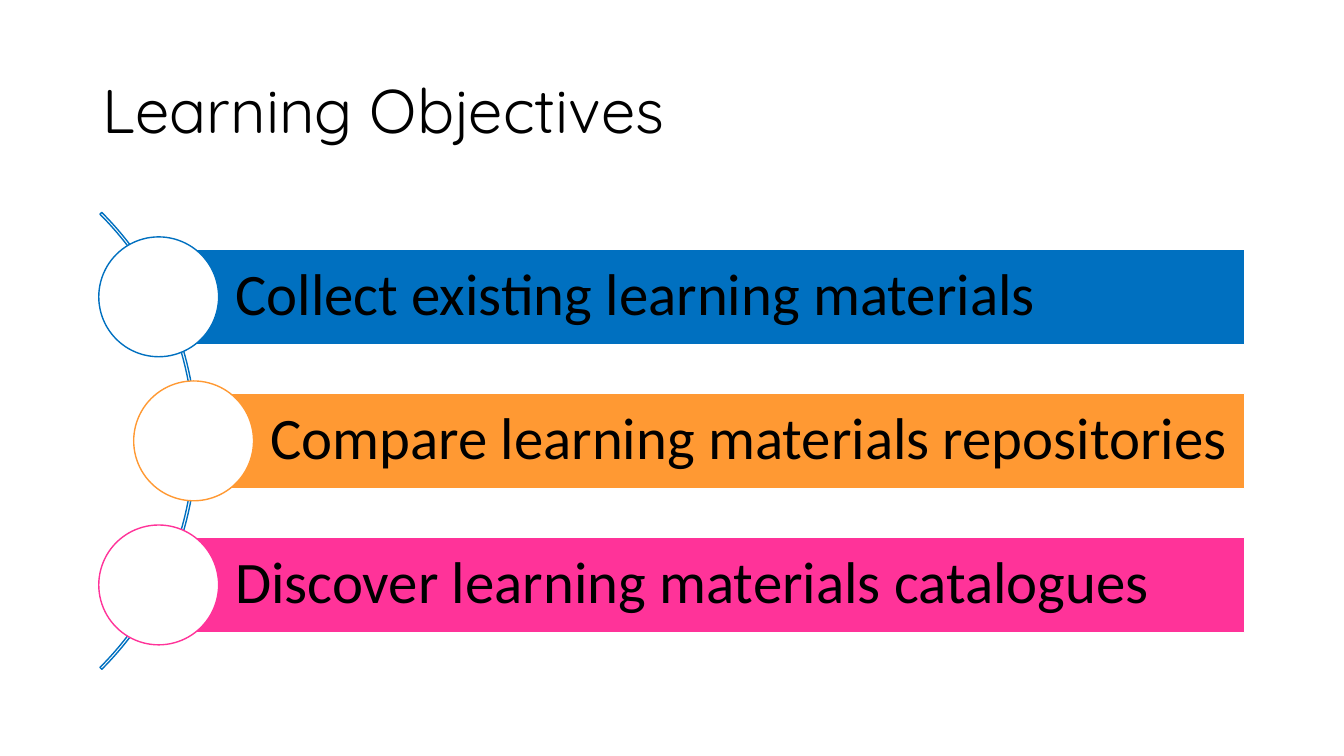
from dataclasses import dataclass

from pptx import Presentation
from pptx.dml.color import RGBColor
from pptx.enum.shapes import MSO_SHAPE
from pptx.enum.text import MSO_ANCHOR, MSO_AUTO_SIZE, PP_ALIGN
from pptx.util import Cm, Pt

ARC, RECT, OVAL = MSO_SHAPE.BLOCK_ARC, MSO_SHAPE.RECTANGLE, MSO_SHAPE.OVAL
MIDDLE = MSO_ANCHOR.MIDDLE
NO_FIT = MSO_AUTO_SIZE.NONE
LEFT = PP_ALIGN.LEFT
TITLE_ONLY = 5


@dataclass(frozen=True)
class Theme:
    ink: str = "000000"
    paper: str = "FFFFFF"
    blue: str = "0070C0"
    orange: str = "FF9933"
    pink: str = "FF3399"
    title_font: str = "Quicksand"
    body_font: str = "Calibri"
    title_size: int = 44
    body_size: int = 42
    line_width: int = 1
    line_spacing: float = 0.9


class SlideBuilder:
    def __init__(self, prs, theme):
        self.theme = theme
        self.slide = prs.slides.add_slide(prs.slide_layouts[TITLE_ONLY])

    def text(self, sp, text, font, size):
        """Write one left-aligned, vertically centred paragraph."""
        tf = sp.text_frame
        tf.text = text
        tf.word_wrap = True
        tf.auto_size = NO_FIT
        tf.vertical_anchor = MIDDLE
        p = tf.paragraphs[0]
        p.alignment = LEFT
        p.line_spacing = self.theme.line_spacing
        p.font.name = font
        p.font.size = Pt(size)
        p.font.color.rgb = RGBColor.from_string(self.theme.ink)

    def title(self, text, left, top, width, height):
        sp = self.slide.shapes.title
        sp.left, sp.top, sp.width, sp.height = map(Cm, (left, top, width, height))
        self.text(sp, text, self.theme.title_font, self.theme.title_size)

    def shape(self, kind, left, top, width, height, line, fill=None):
        sp = self.slide.shapes.add_shape(kind, *map(Cm, (left, top, width, height)))
        sp.shadow.inherit = False
        if fill:
            sp.fill.solid()
            sp.fill.fore_color.rgb = RGBColor.from_string(fill)
        else:
            sp.fill.background()
        sp.line.color.rgb = RGBColor.from_string(line)
        sp.line.width = Pt(self.theme.line_width)
        return sp

    def arc(self, right, middle, diameter):
        """Thin arc spanning 45 degrees above and below its rightmost point."""
        sp = self.shape(ARC, right - diameter, middle - diameter / 2,
                        diameter, diameter, self.theme.blue)
        for i, value in enumerate((189, 27, 0.004)):
            sp.adjustments[i] = value

    def bar(self, text, left, right, middle, height, color):
        sp = self.shape(RECT, left, middle - height / 2, right - left, height,
                        self.theme.paper, color)
        tf = sp.text_frame
        tf.margin_left = Cm(1.93)
        tf.margin_top = tf.margin_right = tf.margin_bottom = Cm(0.3)
        self.text(sp, text, self.theme.body_font, self.theme.body_size)

    def circle(self, center, middle, diameter, color):
        self.shape(OVAL, center - diameter / 2, middle - diameter / 2,
                   diameter, diameter, color, self.theme.paper)


def main():
    prs = Presentation()
    prs.slide_width, prs.slide_height = Cm(33.87), Cm(19.05)
    theme = Theme()
    s = SlideBuilder(prs, theme)
    s.title("Learning Objectives", 2.33, 1.01, 29.21, 3.68)

    center_y, pitch, bar_right = 11.11, 3.63, 31.37
    s.arc(4.95, center_y, 16.28)
    objectives = (
        ("Collect existing learning materials", 4.0, theme.blue),
        ("Compare learning materials repositories", 4.88, theme.orange),
        ("Discover learning materials catalogues", 4.0, theme.pink),
    )
    for row, (text, left, color) in enumerate(objectives):
        middle = center_y + (row - 1) * pitch
        s.bar(text, left, bar_right, middle, 2.4, color)
        s.circle(left, middle, 3.02, color)

    prs.save("out.pptx")


if __name__ == "__main__":
    main()
